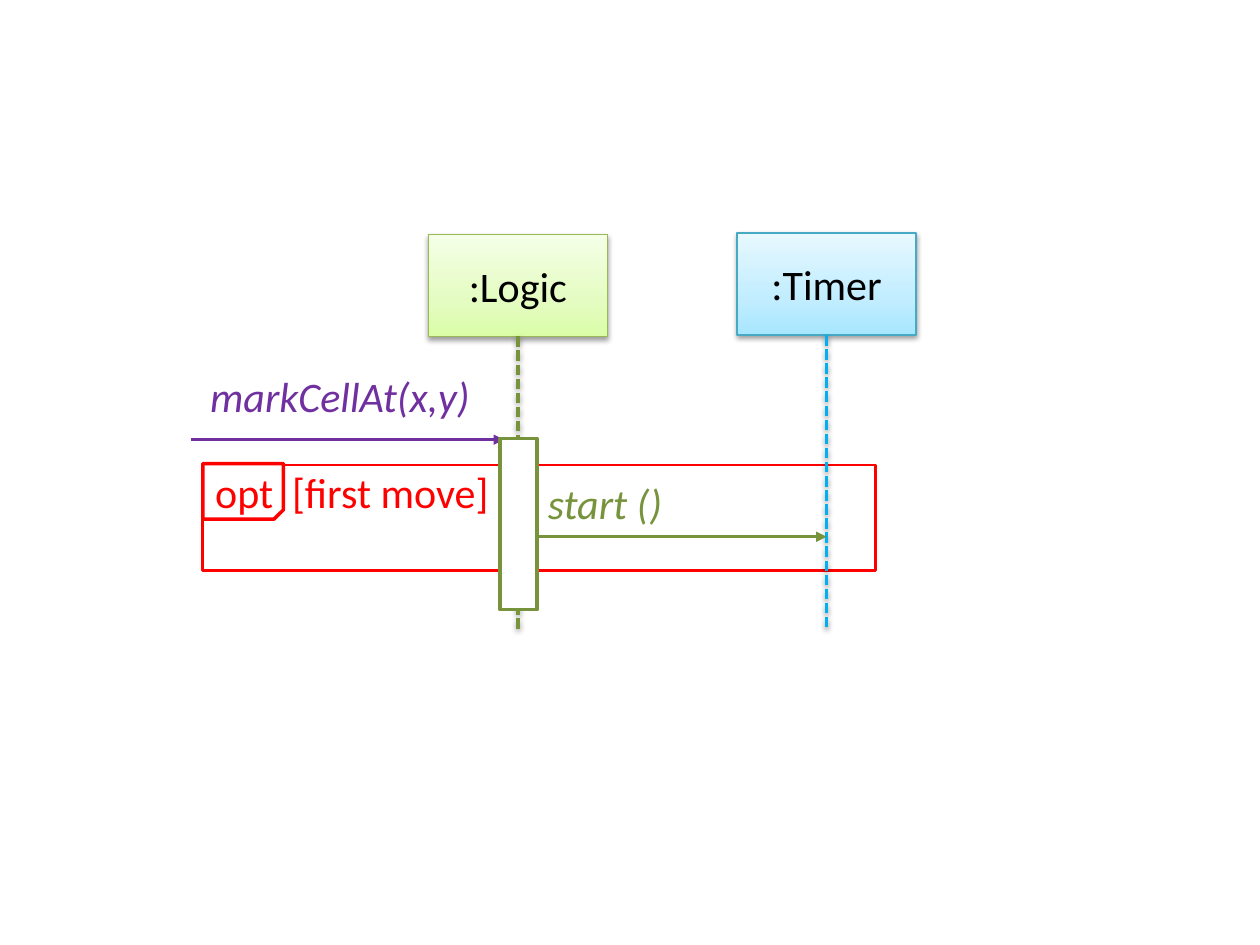
from dataclasses import dataclass

from lxml.etree import SubElement
from pptx import Presentation
from pptx.dml.color import RGBColor
from pptx.enum.dml import MSO_LINE
from pptx.enum.shapes import MSO_CONNECTOR, MSO_SHAPE
from pptx.enum.text import MSO_ANCHOR, MSO_AUTO_SIZE, PP_ALIGN
from pptx.oxml.ns import qn
from pptx.util import Emu, Inches, Pt

COLORS = {
    "black": "000000", "white": "FFFFFF", "red": "FF0000",
    "purple": "7030A0", "olive": "77933C", "blue": "00B0F0",
    "logic_edge": "98B955", "timer_edge": "46AAC5",
}
GRADIENTS = {
    "logic": ("DAFDA7", "E4FCC2", "F5FFE7"),
    "timer": ("A7E6FF", "C1EDFF", "E7F8FF"),
}
STOPS = (0, 35, 100)
LIFELINE_END = 5.0


@dataclass
class Participant:
    name: str
    left: float
    top: float
    gradient: str
    edge: str
    lifeline: str
    width: float = 1.42
    height: float = 0.81


@dataclass
class Message:
    text: str
    left: float
    top: float
    width: float
    start: float
    end: float
    level: float
    color: str


def rgb(name: str) -> RGBColor:
    return RGBColor.from_string(COLORS[name])


def set_effects(shape, shadowed: bool) -> None:
    """Give the shape a soft shadow below it, or no effect at all."""
    effects = SubElement(shape._element.spPr, qn("a:effectLst"))
    if shadowed:
        shadow = SubElement(effects, qn("a:outerShdw"), blurRad=str(Pt(3.1)),
                            dist=str(Pt(1.6)), dir="5400000", rotWithShape="0")
        color = SubElement(shadow, qn("a:srgbClr"), val=COLORS["black"])
        SubElement(color, qn("a:alpha"), val="38000")


def set_gradient(shape, colors: tuple) -> None:
    shape.fill.gradient()
    shape.fill.gradient_angle = 90
    stops = shape._element.spPr.find(qn("a:gradFill")).find(qn("a:gsLst"))
    for old in list(stops):
        stops.remove(old)
    for position, color in zip(STOPS, colors):
        stop = SubElement(stops, qn("a:gs"), pos=str(position * 1000))
        SubElement(stop, qn("a:srgbClr"), val=color)


def add_span(paragraph, text: str, color: str, italic: bool = False) -> None:
    span = paragraph.add_run()
    span.text = text
    span.font.name = "Calibri"
    span.font.size = Pt(24)
    span.font.italic = italic
    span.font.color.rgb = rgb(color)


def add_text_box(page, left: float, top: float, width: float, height: float):
    box = page.shapes.add_textbox(Inches(left), Inches(top), Inches(width), Inches(height))
    box.text_frame.word_wrap = True
    return box


def add_box(page, preset, left: float, top: float, width: float, height: float,
            edge: str, weight: float):
    box = page.shapes.add_shape(preset, Inches(left), Inches(top),
                                Inches(width), Inches(height))
    box.fill.solid()
    box.fill.fore_color.rgb = rgb("white")
    box.line.color.rgb = rgb(edge)
    box.line.width = Pt(weight)
    return box


def add_line(page, start: tuple, end: tuple, color: str, weight: float):
    line = page.shapes.add_connector(MSO_CONNECTOR.STRAIGHT, Emu(start[0]), Emu(start[1]),
                                     Emu(end[0]), Emu(end[1]))
    line.line.color.rgb = rgb(color)
    line.line.width = Pt(weight)
    return line


def add_participant(page, item: Participant) -> None:
    box = add_box(page, MSO_SHAPE.RECTANGLE, item.left, item.top,
                  item.width, item.height, item.edge, 0.75)
    set_gradient(box, GRADIENTS[item.gradient])
    set_effects(box, True)
    frame = box.text_frame
    frame.word_wrap = True
    frame.margin_top = frame.margin_bottom = Inches(0.2)
    frame.vertical_anchor = MSO_ANCHOR.MIDDLE
    frame.paragraphs[0].alignment = PP_ALIGN.CENTER
    add_span(frame.paragraphs[0], item.name, "black")

    center = box.left + box.width // 2
    line = add_line(page, (center, box.top + box.height),
                    (center, Inches(LIFELINE_END)), item.lifeline, 2)
    line.begin_connect(box, 2)
    line.line.dash_style = MSO_LINE.SQUARE_DOT
    set_effects(line, True)


def add_message(page, item: Message) -> None:
    box = add_text_box(page, item.left, item.top, item.width, 0.5)
    box.text_frame.auto_size = MSO_AUTO_SIZE.SHAPE_TO_FIT_TEXT
    add_span(box.text_frame.paragraphs[0], item.text, item.color, italic=True)

    level = Inches(item.level)
    arrow = add_line(page, (Inches(item.start), level), (Inches(item.end), level),
                     item.color, 1.5)
    SubElement(arrow.line._get_or_add_ln(), qn("a:tailEnd"), type="triangle")
    set_effects(arrow, False)


def main() -> None:
    deck = Presentation()
    deck.slide_width, deck.slide_height = Inches(10), Inches(7.5)
    page = deck.slides.add_slide(deck.slide_layouts[6])

    # Frame of the optional fragment
    fragment = add_box(page, MSO_SHAPE.RECTANGLE, 1.61, 3.69, 5.34, 0.84, "red", 1.5)
    fragment.shadow.inherit = False

    # Logic and the incoming call
    add_participant(page, Participant(":Logic", 3.4, 1.86, "logic", "logic_edge", "olive"))
    add_message(page, Message("markCellAt(x,y)", 1.57, 2.89, 2.32, 1.52, 4.0, 3.49, "purple"))

    # Fragment tag with its guard
    tag = add_box(page, MSO_SHAPE.SNIP_1_RECTANGLE, 1.61, 3.68, 0.64, 0.44, "red", 2)
    tag.shadow.inherit = False
    tag._element.spPr.xfrm.set("flipV", "1")
    label = add_text_box(page, 1.61, 3.69, 4.07, 0.42)
    label.text_frame.vertical_anchor = MSO_ANCHOR.MIDDLE
    guard = label.text_frame.paragraphs[0]
    tabs = SubElement(guard._p.get_or_add_pPr(), qn("a:tabLst"))
    SubElement(tabs, qn("a:tab"), pos=str(Inches(0.61)), algn="l")
    add_span(guard, "opt\t[first move]", "red")

    # Activation bar of Logic
    activation = add_box(page, MSO_SHAPE.RECTANGLE, 3.97, 3.48, 0.29, 1.36, "olive", 2)
    activation.shadow.inherit = False

    # Timer and the call that starts it
    add_participant(page, Participant(":Timer", 5.85, 1.85, "timer", "timer_edge", "blue"))
    add_message(page, Message("start ()", 4.25, 3.74, 1.96, 4.28, 6.56, 4.26, "olive"))

    deck.save("out.pptx")


if __name__ == "__main__":
    main()
